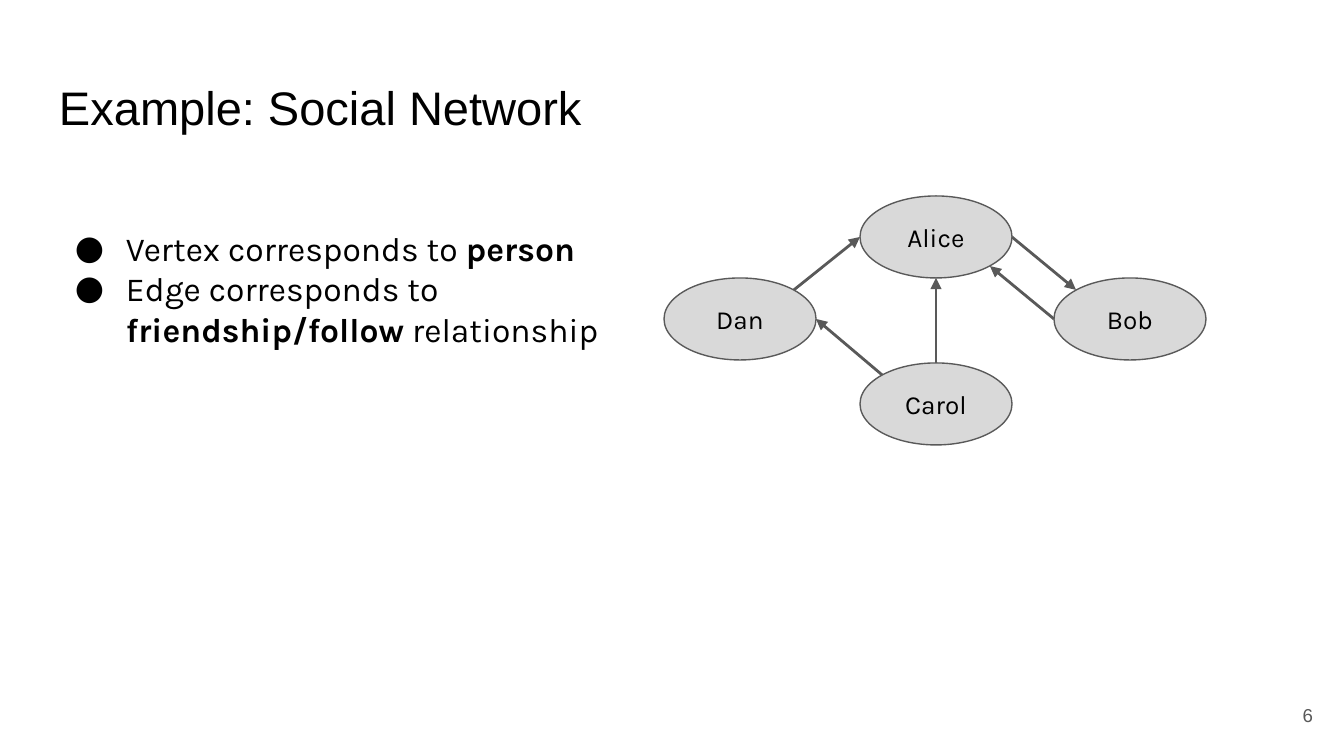
from lxml import etree
from pptx import Presentation
from pptx.dml.color import RGBColor
from pptx.enum.shapes import MSO_CONNECTOR, MSO_SHAPE
from pptx.enum.text import MSO_ANCHOR, PP_ALIGN
from pptx.oxml.ns import qn
from pptx.util import Pt

LEFT, CENTER, RIGHT = PP_ALIGN.LEFT, PP_ALIGN.CENTER, PP_ALIGN.RIGHT
TOP, MIDDLE = MSO_ANCHOR.TOP, MSO_ANCHOR.MIDDLE
ELLIPSE, STRAIGHT = MSO_SHAPE.OVAL, MSO_CONNECTOR.STRAIGHT

COLORS = {"text": "000000", "gray": "595959", "node": "D9D9D9", "background": "FFFFFF"}
EMU_PER_PX = 914400 / 134.4


def px(*lengths):
    return [round(length * EMU_PER_PX) for length in lengths]


def write(shape, paragraphs, size, font="Karla", color="text", align=LEFT,
          anchor=TOP, bullet=None):
    """Fill a shape with paragraphs, each a list of (text, bold) runs."""
    frame = shape.text_frame
    frame.word_wrap = True
    frame.vertical_anchor = anchor
    inset = px(13)[0]
    frame.margin_left = frame.margin_right = inset
    frame.margin_top = frame.margin_bottom = inset
    for index, runs in enumerate(paragraphs):
        paragraph = frame.add_paragraph() if index else frame.paragraphs[0]
        paragraph.alignment = align
        if bullet:
            properties = paragraph._p.get_or_add_pPr()
            margin, indent = px(67, -51)
            properties.set("marL", str(margin))
            properties.set("indent", str(indent))
            bullet_color = etree.SubElement(properties, qn("a:buClr"))
            etree.SubElement(bullet_color, qn("a:srgbClr"), val=COLORS[color])
            etree.SubElement(properties, qn("a:buFont"), typeface=font)
            etree.SubElement(properties, qn("a:buChar"), char=bullet)
        for text, bold in runs:
            run = paragraph.add_run()
            run.text = text
            run.font.name = font
            run.font.size = Pt(size)
            run.font.bold = bold
            run.font.color.rgb = RGBColor.from_string(COLORS[color])


presentation = Presentation()
presentation.slide_width, presentation.slide_height = px(1344, 756)
slide = presentation.slides.add_slide(presentation.slide_layouts[6])
slide.background.fill.solid()
slide.background.fill.fore_color.rgb = RGBColor.from_string(COLORS["background"])

# Title, page number and bullets
title = slide.shapes.add_textbox(*px(46, 66, 1252, 84))
write(title, [[("Example: Social Network", False)]], 25.2, font="Arial")

page_number = slide.shapes.add_textbox(*px(1245, 686, 81, 58))
write(page_number, [[("6", False)]], 10, font="Arial", color="gray",
      align=RIGHT, anchor=MIDDLE)

bullets = slide.shapes.add_textbox(*px(46, 215, 609, 152))
write(bullets, [
    [("Vertex corresponds to ", False), ("person", True)],
    [("Edge corresponds to ", False), ("friendship/follow", True),
     (" relationship", False)],
], 18, bullet="●")

# People, by the centre of each node
NODE_WIDTH, NODE_HEIGHT = 152, 82
people = {"Alice": (936, 237), "Bob": (1130, 319), "Carol": (936, 404), "Dan": (740, 319)}
for name, (x, y) in people.items():
    node = slide.shapes.add_shape(ELLIPSE, *px(
        x - NODE_WIDTH / 2, y - NODE_HEIGHT / 2, NODE_WIDTH, NODE_HEIGHT))
    node.shadow.inherit = False
    node.fill.solid()
    node.fill.fore_color.rgb = RGBColor.from_string(COLORS["node"])
    node.line.color.rgb = RGBColor.from_string(COLORS["gray"])
    node.line.width = Pt(0.75)
    write(node, [[(name, False)]], 14, align=CENTER, anchor=MIDDLE)

# Directed edges between points on the ellipses (unit circle, y downwards)
DIAGONAL = 0.71
sites = {
    "top": (0, -1), "bottom": (0, 1), "left": (-1, 0), "right": (1, 0),
    "top left": (-DIAGONAL, -DIAGONAL), "top right": (DIAGONAL, -DIAGONAL),
    "bottom right": (DIAGONAL, DIAGONAL),
}
edges = [
    ("Alice", "right", "Bob", "top left"),
    ("Bob", "left", "Alice", "bottom right"),
    ("Carol", "top", "Alice", "bottom"),
    ("Dan", "top right", "Alice", "left"),
    ("Carol", "top left", "Dan", "right"),
]
for source, source_site, target, target_site in edges:
    ends = []
    for name, site in ((source, source_site), (target, target_site)):
        (x, y), (across, down) = people[name], sites[site]
        ends += [x + across * NODE_WIDTH / 2, y + down * NODE_HEIGHT / 2]
    edge = slide.shapes.add_connector(STRAIGHT, *px(*ends))
    edge.line.color.rgb = RGBColor.from_string(COLORS["gray"])
    edge.line.width = Pt(1.5)
    etree.SubElement(edge.line._get_or_add_ln(), qn("a:tailEnd"), type="triangle")
    etree.SubElement(edge._element.spPr, qn("a:effectLst"))

presentation.save("out.pptx")
